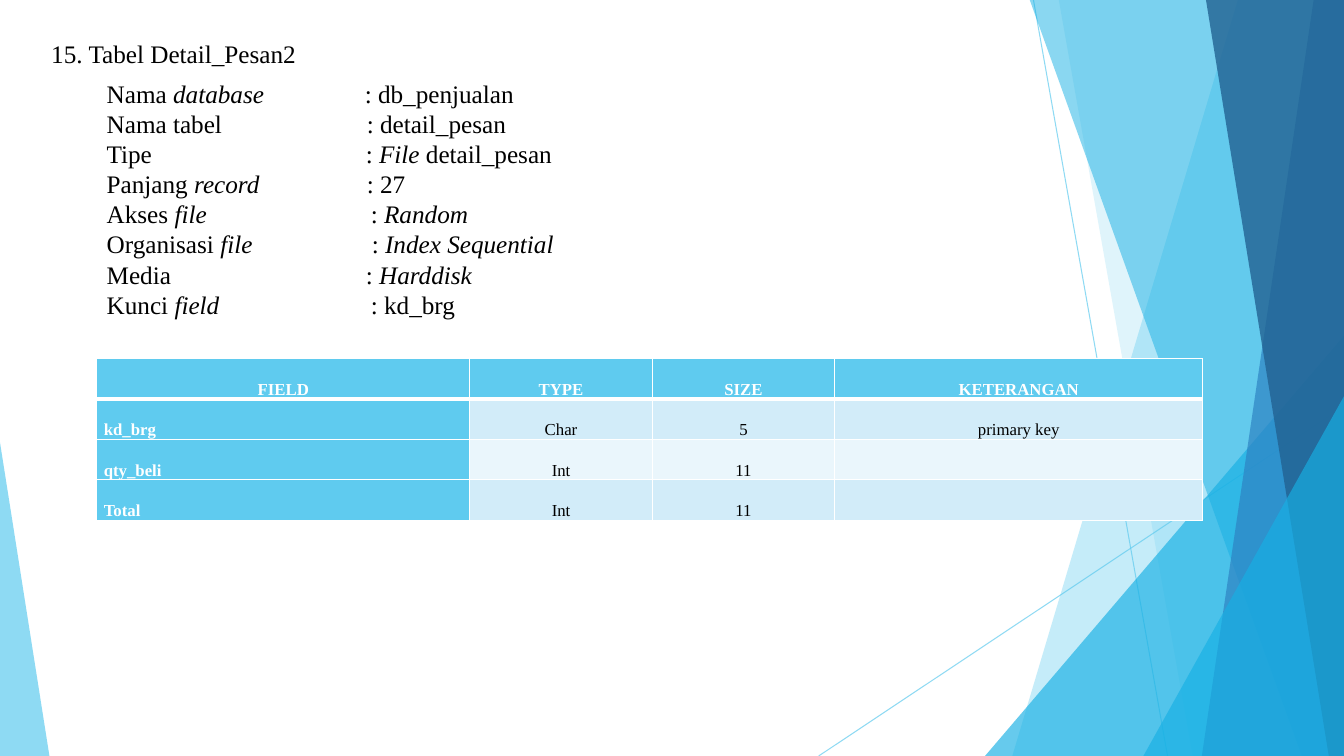
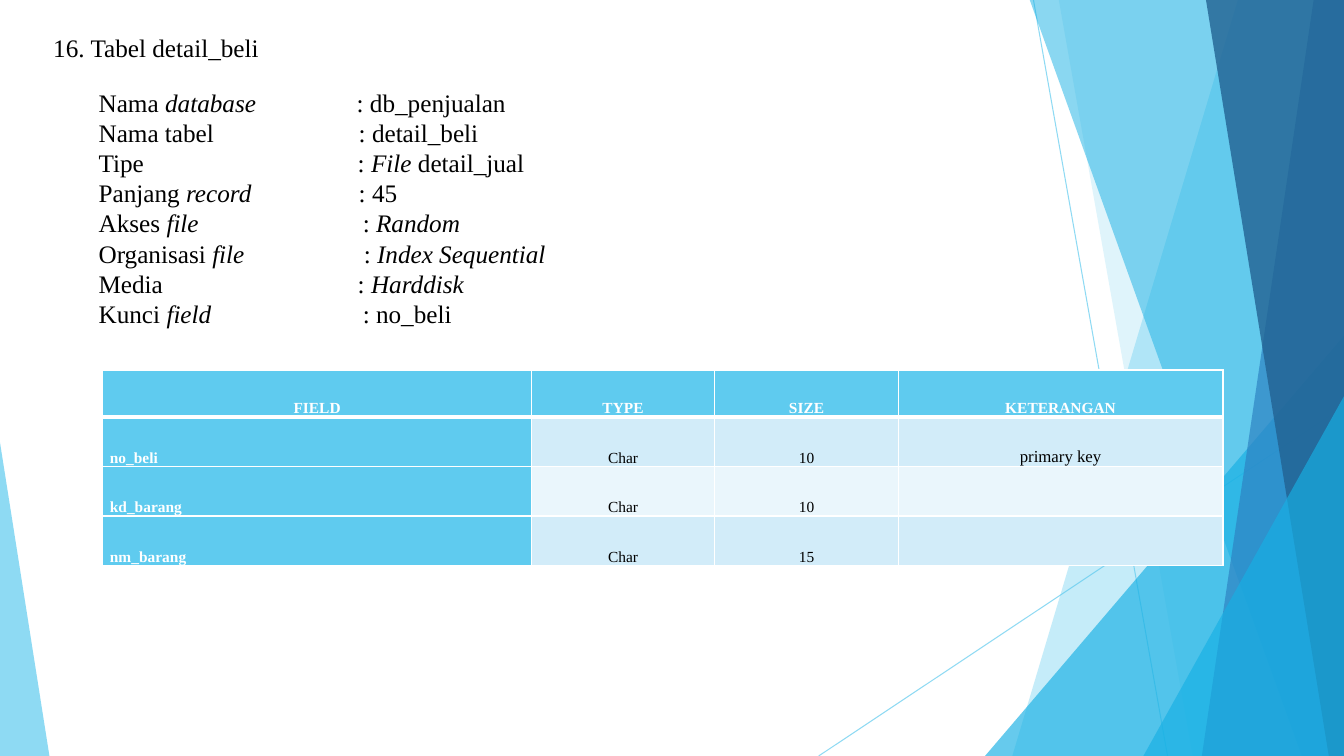
from lxml.etree import SubElement
from pptx import Presentation
from pptx.dml.color import RGBColor
from pptx.enum.shapes import MSO_CONNECTOR, MSO_SHAPE
from pptx.enum.text import MSO_ANCHOR, PP_ALIGN
from pptx.oxml import parse_xml
from pptx.oxml.ns import nsdecls, qn
from pptx.util import Emu, Pt

SCALE = 9144
PAGE_WIDTH, PAGE_HEIGHT = 1333, 750
FONT = "Times New Roman"
COLORS = {
    "sky": "5FCBEF",
    "cyan": "17B0E4",
    "blue": "2E83C3",
    "navy": "226292",
    "odd_row": "D2ECF9",
    "even_row": "EAF6FC",
    "white": "FFFFFF",
    "black": "000000",
}
BODY_FORMAT = {"name": FONT, "size": Pt(18)}
BODY_SPACING = {"line_spacing": Pt(21.5)}
CELL_FORMAT = {
    "margin_left": Emu(7 * SCALE),
    "margin_right": Emu(7 * SCALE),
    "margin_top": 0,
    "margin_bottom": 0,
    "vertical_anchor": MSO_ANCHOR.BOTTOM,
}
HEADINGS = ["FIELD", "TYPE", "SIZE", "KETERANGAN"]
NOTE_COLUMN = 3
NOTE_SIZE = 12
DETAILS = [
    ("Nama *database*", 256),
    ("Nama tabel", 258),
    ("Tipe", 257),
    ("Panjang *record*", 258),
    ("Akses *file*", 262),
    ("Organisasi *file*", 263),
    ("Media", 257),
    ("Kunci *field*", 262),
]
PAGES = [
    {
        "title": "15. Tabel Detail_Pesan2",
        "title_box": (41, 33, 266, 40),
        "details_box": (96, 73, 667, 283),
        "details": ["db_penjualan", "detail_pesan", "*File* detail_pesan", "27",
                    "*Random*", "*Index Sequential*", "*Harddisk*", "kd_brg"],
        "table_at": (96, 356),
        "columns": [370, 181, 181, 365],
        "row_heights": [40, 40, 40, 40],
        "size": 12,
        "fields": [
            ["kd_brg", "Char", "5", "primary key"],
            ["qty_beli", "Int", "11", ""],
            ["Total", "Int", "11", ""],
        ],
    },
    {
        "title": "16. Tabel detail_beli",
        "title_box": (43, 27, 226, 40),
        "details_box": (88, 82, 667, 252),
        "details": ["db_penjualan", "detail_beli", "*File* detail_jual", "45",
                    "*Random*", "*Index Sequential*", "*Harddisk*", "no_beli"],
        "table_at": (102, 367),
        "columns": [425, 182, 182, 322],
        "row_heights": [47, 49, 49, 49],
        "size": 11,
        "fields": [
            ["no_beli", "Char", "10", "primary key"],
            ["kd_barang", "Char", "10", ""],
            ["nm_barang", "Char", "15", ""],
        ],
    },
]


def px(*lengths):
    return [Emu(length * SCALE) for length in lengths]


def color(name):
    return RGBColor.from_string(COLORS[name])


def apply_format(target, values):
    for name, value in values.items():
        setattr(target, name, value)


def set_opacity(shape, percent):
    for node in shape.element.iter(qn("a:srgbClr")):
        SubElement(node, qn("a:alpha")).set("val", str(percent * 1000))


def paint(shape, fill, opacity):
    shape.shadow.inherit = False
    shape.fill.solid()
    shape.fill.fore_color.rgb = color(fill)
    shape.line.fill.background()
    set_opacity(shape, opacity)


def add_ray(page, *ends):
    ray = page.shapes.add_connector(MSO_CONNECTOR.STRAIGHT, *px(*ends))
    ray.line.color.rgb = color("sky")
    ray.line.width = Pt(0.75)
    set_opacity(ray, 70)
    SubElement(ray.element.spPr, qn("a:effectLst"))


def add_band(page, top_x, bottom_x, fill, opacity):
    outline = page.shapes.build_freeform(top_x, -1, scale=SCALE)
    outline.add_line_segments(
        [(PAGE_WIDTH, -1), (PAGE_WIDTH, PAGE_HEIGHT), (bottom_x, PAGE_HEIGHT)], close=True)
    paint(outline.convert_to_shape(), fill, opacity)


def add_triangle(page, left, top, width, apex, fill, opacity):
    frame = px(left, top, width, PAGE_HEIGHT - top)
    triangle = page.shapes.add_shape(MSO_SHAPE.ISOSCELES_TRIANGLE, *frame)
    triangle.adjustments[0] = apex
    paint(triangle, fill, opacity)


def add_scenery(page):
    add_ray(page, 1025, 0, 1158, PAGE_HEIGHT)
    add_ray(page, PAGE_WIDTH, 403, 812, PAGE_HEIGHT)
    add_band(page, 1228, 1004, "sky", 36)
    add_band(page, 1050, 1183, "sky", 20)
    add_triangle(page, 977, 333, 356, 1, "cyan", 66)
    add_band(page, 1021, 1291, "cyan", 50)
    add_band(page, 1303, 1192, "blue", 70)
    add_band(page, 1196, 1318, "navy", 80)
    add_triangle(page, 1134, 393, 199, 1, "cyan", 66)
    add_triangle(page, 0, 439, 49, 0, "sky", 70)


def add_spans(para, text):
    apply_format(para, BODY_SPACING)
    for index, part in enumerate(text.split("*")):
        if part:
            span = para.add_run()
            span.text = part
            apply_format(span.font, {**BODY_FORMAT, "italic": index % 2 == 1})
            span.font.color.rgb = color("black")


def add_title(page, text, frame):
    box = page.shapes.add_textbox(*px(*frame))
    box.text_frame.word_wrap = False
    add_spans(box.text_frame.paragraphs[0], text)


def add_tab_stop(para, position):
    stops = SubElement(para._p.get_or_add_pPr(), qn("a:tabLst"))
    stop = SubElement(stops, qn("a:tab"))
    stop.set("pos", str(position * SCALE))
    stop.set("algn", "l")


def add_details(page, values, frame):
    text_frame = page.shapes.add_textbox(*px(*frame)).text_frame
    text_frame.word_wrap = True
    for index, ((label, colon_at), value) in enumerate(zip(DETAILS, values)):
        para = text_frame.add_paragraph() if index else text_frame.paragraphs[0]
        add_spans(para, f"{label}\t: {value}")
        add_tab_stop(para, colon_at)


def set_borders(cell, bottom):
    properties = cell._tc.get_or_add_tcPr()
    for index, (side, width) in enumerate([("L", 1), ("R", 1), ("T", 1), ("B", bottom)]):
        properties.insert(index, parse_xml(
            f'<a:ln{side} {nsdecls("a")} w="{Pt(width)}"><a:solidFill>'
            f'<a:srgbClr val="{COLORS["white"]}"/></a:solidFill></a:ln{side}>'))


def fill_cell(cell, text, row, column, size):
    header, label = row == 0, column == 0
    strong = header or label
    apply_format(cell, CELL_FORMAT)
    cell.fill.solid()
    cell.fill.fore_color.rgb = color("sky" if strong else "odd_row" if row % 2 else "even_row")
    set_borders(cell, 3 if header else 1)
    para = cell.text_frame.paragraphs[0]
    centred = header or not label
    apply_format(para, {
        "alignment": PP_ALIGN.CENTER if centred else PP_ALIGN.LEFT,
        "line_spacing": 1.07,
    })
    if text:
        span = para.add_run()
        span.text = text
        points = NOTE_SIZE if column == NOTE_COLUMN and not header else size
        apply_format(span.font, {"name": FONT, "size": Pt(points), "bold": strong})
        span.font.color.rgb = color("white" if strong else "black")


def add_field_table(page, content):
    rows = [HEADINGS] + content["fields"]
    columns, heights = content["columns"], content["row_heights"]
    frame = px(*content["table_at"], sum(columns), sum(heights))
    table = page.shapes.add_table(len(rows), len(columns), *frame).table
    apply_format(table, {"first_row": False, "horz_banding": False})
    for column, width in zip(table.columns, px(*columns)):
        column.width = width
    for row, height in zip(table.rows, px(*heights)):
        row.height = height
    for row, texts in enumerate(rows):
        for column, text in enumerate(texts):
            fill_cell(table.cell(row, column), text, row, column, content["size"])


def main():
    deck = Presentation()
    deck.slide_width, deck.slide_height = px(PAGE_WIDTH, PAGE_HEIGHT)
    for content in PAGES:
        page = deck.slides.add_slide(deck.slide_layouts[6])
        add_scenery(page)
        add_title(page, content["title"], content["title_box"])
        add_details(page, content["details"], content["details_box"])
        add_field_table(page, content)
    deck.save("out.pptx")


if __name__ == "__main__":
    main()
